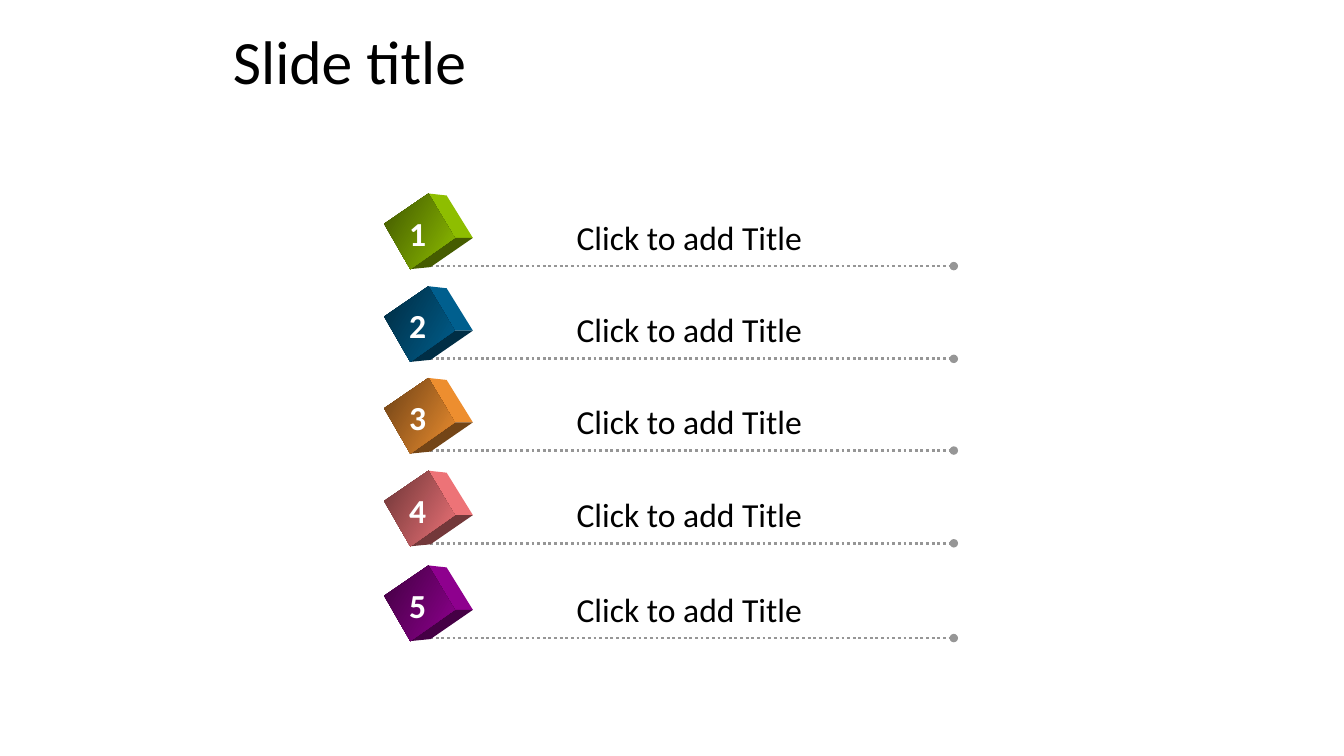
import pptx
import pptx.util
import pptx.dml.color
import pptx.enum.dml
import pptx.enum.shapes
import pptx.enum.text
import pptx.oxml
import pptx.oxml.ns
from pptx.util import Inches

RGBColor = pptx.dml.color.RGBColor
BLACK = RGBColor(0x00, 0x00, 0x00)
WHITE = RGBColor(0xFF, 0xFF, 0xFF)
GRAY = RGBColor(0x96, 0x96, 0x96)
GREEN = RGBColor(0x99, 0xCC, 0x00)
BLUE = RGBColor(0x00, 0x66, 0x99)
ORANGE = RGBColor(0xFF, 0x99, 0x33)
PINK = RGBColor(0xFF, 0x7C, 0x80)
PURPLE = RGBColor(0x99, 0x00, 0x99)

ITEMS = [
    (2.64, GREEN),
    (3.56, BLUE),
    (4.47, ORANGE),
    (5.39, PINK),
    (6.33, PURPLE),
]

LEFT, TOP, RIGHT, BOTTOM = (3.81, -0.42), (4.25, -0.72), (4.51, -0.28), (4.07, 0.03)
BACK_TOP, BACK_RIGHT, BACK_BOTTOM = (4.43, -0.7), (4.69, -0.28), (4.27, 0.01)
FRONT_FACE = [LEFT, TOP, RIGHT, BOTTOM]
SIDE_FACE = [TOP, BACK_TOP, BACK_RIGHT, RIGHT]
UNDER_FACE = [RIGHT, BACK_RIGHT, BACK_BOTTOM, BOTTOM]


def shade(color, factor):
    return RGBColor(*(round(channel * factor) for channel in color))


def add_run(p, text, size, color, bold=False):
    r = p.add_run()
    r.text = text
    r.font.name = "Calibri"
    r.font.size = pptx.util.Pt(size)
    r.font.bold = bold
    r.font.color.rgb = color


def add_title(slide, text):
    sp = slide.shapes.title
    sp.left, sp.top = Inches(2.21), Inches(0.17)
    sp.width, sp.height = Inches(10.2), Inches(0.95)
    tf = sp.text_frame
    tf.vertical_anchor = pptx.enum.text.MSO_ANCHOR.MIDDLE
    p = tf.paragraphs[0]
    p.alignment = pptx.enum.text.PP_ALIGN.LEFT
    p.line_spacing = 0.9
    add_run(p, text, 44, BLACK)


def add_text(shapes, left, top, width, text, color, bold=False):
    sp = shapes.add_textbox(Inches(left), Inches(top), Inches(width), Inches(0.5))
    tf = sp.text_frame
    tf.word_wrap = False
    tf.auto_size = pptx.enum.text.MSO_AUTO_SIZE.SHAPE_TO_FIT_TEXT
    add_run(tf.paragraphs[0], text, 24, color, bold)


def add_dotted_line(shapes, y):
    line = shapes.add_connector(
        pptx.enum.shapes.MSO_CONNECTOR.STRAIGHT,
        Inches(4.21), Inches(y), Inches(9.46), Inches(y))
    line.line.color.rgb = GRAY
    line.line.width = pptx.util.Pt(2)
    line.line.dash_style = pptx.enum.dml.MSO_LINE.ROUND_DOT
    tail = pptx.oxml.parse_xml(
        '<a:tailEnd %s type="oval"/>' % pptx.oxml.ns.nsdecls("a"))
    line.line._get_or_add_ln().append(tail)
    effects = pptx.oxml.parse_xml(
        '<a:effectLst %s/>' % pptx.oxml.ns.nsdecls("a"))
    line._element.spPr.append(effects)


def add_face(shapes, y, corners):
    points = [(Inches(x), Inches(y + dy)) for x, dy in corners]
    builder = shapes.build_freeform(*points[0])
    builder.add_line_segments(points[1:], close=True)
    sp = builder.convert_to_shape()
    sp.shadow.inherit = False
    sp.line.fill.background()
    return sp


def add_cube(shapes, y, color):
    for corners, factor in ((SIDE_FACE, 0.93), (UNDER_FACE, 0.45)):
        fill = add_face(shapes, y, corners).fill
        fill.solid()
        fill.fore_color.rgb = shade(color, factor)
    fill = add_face(shapes, y, FRONT_FACE).fill
    fill.gradient()
    fill.gradient_angle = 330
    for stop, factor in zip(fill.gradient_stops, (0.42, 0.93)):
        stop.color.rgb = shade(color, factor)


def add_item(slide, number, y, color):
    shapes = slide.shapes.add_group_shape().shapes
    add_dotted_line(shapes, y)
    add_cube(shapes, y, color)
    add_text(shapes, 5.62, y - 0.54, 2.67, "Click to add Title", BLACK)
    add_text(shapes, 3.96, y - 0.58, 0.39, str(number), WHITE, bold=True)


def main():
    prs = pptx.Presentation()
    prs.slide_width, prs.slide_height = Inches(13.33), Inches(7.5)
    slide = prs.slides.add_slide(prs.slide_layouts[5])
    add_title(slide, "Slide title")
    for number, (y, color) in enumerate(ITEMS, 1):
        add_item(slide, number, y, color)
    prs.save("out.pptx")


if __name__ == "__main__":
    main()
